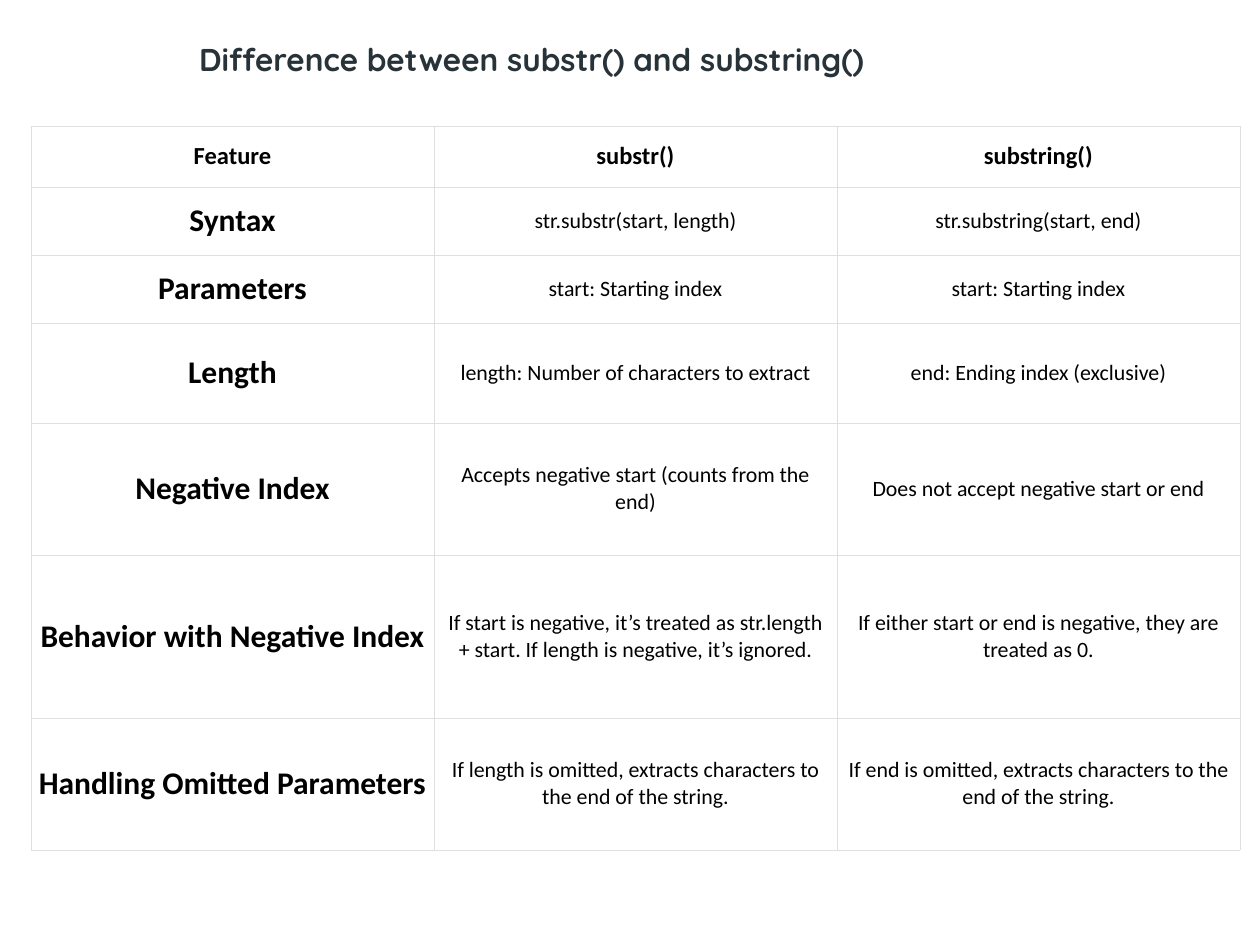
from dataclasses import dataclass

import pptx
import pptx.dml.color
import pptx.enum.text
import pptx.oxml
import pptx.oxml.ns
import pptx.util

PIXELS_PER_INCH = 126


@dataclass(frozen=True)
class Theme:
    background: str = "FFFFFF"
    title_color: str = "273239"
    text_color: str = "000000"
    border_color: str = "DFDFDF"
    border_width: float = 0.18
    title_font: str = "Quicksand"
    table_font: str = "Calibri"
    title_size: float = 18
    header_size: float = 14
    feature_size: float = 18
    detail_size: float = 12.5


@dataclass(frozen=True)
class CellStyle:
    size: float
    bold: bool
    margin_x: int
    margin_y: int


@dataclass(frozen=True)
class Row:
    height: int
    texts: tuple[str, str, str]
    styles: tuple[CellStyle, CellStyle, CellStyle]


THEME = Theme()
HEADER = CellStyle(THEME.header_size, True, 10, 10)
FIRST_HEADER = CellStyle(THEME.header_size, True, 5, 10)
FEATURE = CellStyle(THEME.feature_size, True, 5, 8)
DETAIL = CellStyle(THEME.detail_size, False, 10, 15)
HEADER_STYLES = (FIRST_HEADER, HEADER, HEADER)
BODY_STYLES = (FEATURE, DETAIL, DETAIL)

COLUMN_WIDTH = 403
ROWS = [
    Row(61, ("Feature", "substr()", "substring()"), HEADER_STYLES),
    Row(68, ("Syntax", "str.substr(start, length)", "str.substring(start, end)"), BODY_STYLES),
    Row(68, ("Parameters", "start: Starting index", "start: Starting index"), BODY_STYLES),
    Row(100, ("Length", "length: Number of characters to extract",
              "end: Ending index (exclusive)"), BODY_STYLES),
    Row(132, ("Negative Index", "Accepts negative start (counts from the end)",
              "Does not accept negative start or end"), BODY_STYLES),
    Row(163, ("Behavior with Negative Index",
              "If start is negative, it’s treated as str.length + start. "
              "If length is negative, it’s ignored.",
              "If either start or end is negative, they are treated as 0."), BODY_STYLES),
    Row(132, ("Handling Omitted Parameters",
              "If length is omitted, extracts characters to the end of the string.",
              "If end is omitted, extracts characters to the end of the string."), BODY_STYLES),
]


def px(length: int) -> pptx.util.Emu:
    return pptx.util.Emu(round(length * 914400 / PIXELS_PER_INCH))


def rgb(color: str) -> pptx.dml.color.RGBColor:
    return pptx.dml.color.RGBColor.from_string(color)


def add_run(paragraph, text: str, font_name: str, size: float, color: str, bold: bool) -> None:
    run = paragraph.add_run()
    run.text = text
    run.font.name = font_name
    run.font.size = pptx.util.Pt(size)
    run.font.bold = bold
    run.font.color.rgb = rgb(color)


def set_borders(cell) -> None:
    """Outline all four sides; the lines must precede the fill in the cell properties."""
    properties = cell._tc.get_or_add_tcPr()
    width = pptx.util.Pt(THEME.border_width)
    for position, side in enumerate(("lnL", "lnR", "lnT", "lnB")):
        line = pptx.oxml.parse_xml(
            f'<a:{side} {pptx.oxml.ns.nsdecls("a")} w="{width}"><a:solidFill>'
            f'<a:srgbClr val="{THEME.border_color}"/></a:solidFill></a:{side}>')
        properties.insert(position, line)


def fill_cell(cell, text: str, style: CellStyle) -> None:
    cell.margin_left = cell.margin_right = px(style.margin_x)
    cell.margin_top = cell.margin_bottom = px(style.margin_y)
    cell.vertical_anchor = pptx.enum.text.MSO_ANCHOR.MIDDLE
    cell.fill.solid()
    cell.fill.fore_color.rgb = rgb(THEME.background)
    set_borders(cell)
    paragraph = cell.text_frame.paragraphs[0]
    paragraph.alignment = pptx.enum.text.PP_ALIGN.CENTER
    add_run(paragraph, text, THEME.table_font, style.size, THEME.text_color, style.bold)


def add_comparison_table(slide, left: int, top: int, rows: list[Row]) -> None:
    column_count = len(rows[0].texts)
    table = slide.shapes.add_table(
        len(rows), column_count, px(left), px(top),
        px(COLUMN_WIDTH * column_count), px(sum(row.height for row in rows))).table
    table.first_row = table.horz_banding = False
    for column in table.columns:
        column.width = px(COLUMN_WIDTH)
    for row_index, row in enumerate(rows):
        table.rows[row_index].height = px(row.height)
        for column_index, (text, style) in enumerate(zip(row.texts, row.styles)):
            fill_cell(table.cell(row_index, column_index), text, style)


def format_title(title, text: str) -> None:
    title.left, title.top, title.width, title.height = px(199), px(40), px(850), px(77)
    title.fill.solid()
    title.fill.fore_color.rgb = rgb(THEME.background)
    frame = title.text_frame
    frame.margin_left = frame.margin_right = frame.margin_top = frame.margin_bottom = 0
    frame.word_wrap = True
    frame.auto_size = pptx.enum.text.MSO_AUTO_SIZE.NONE
    frame.vertical_anchor = pptx.enum.text.MSO_ANCHOR.TOP
    paragraph = frame.paragraphs[0]
    paragraph.alignment = pptx.enum.text.PP_ALIGN.LEFT
    add_run(paragraph, text, THEME.title_font, THEME.title_size, THEME.title_color, True)


def main() -> None:
    presentation = pptx.Presentation()
    presentation.slide_width = px(1260)
    presentation.slide_height = px(945)
    slide = presentation.slides.add_slide(presentation.slide_layouts.get_by_name("Title Only"))
    slide.background.fill.solid()
    slide.background.fill.fore_color.rgb = rgb(THEME.background)
    format_title(slide.shapes.title, "Difference between substr() and substring()")
    add_comparison_table(slide, 31, 126, ROWS)
    presentation.save("out.pptx")


if __name__ == "__main__":
    main()
